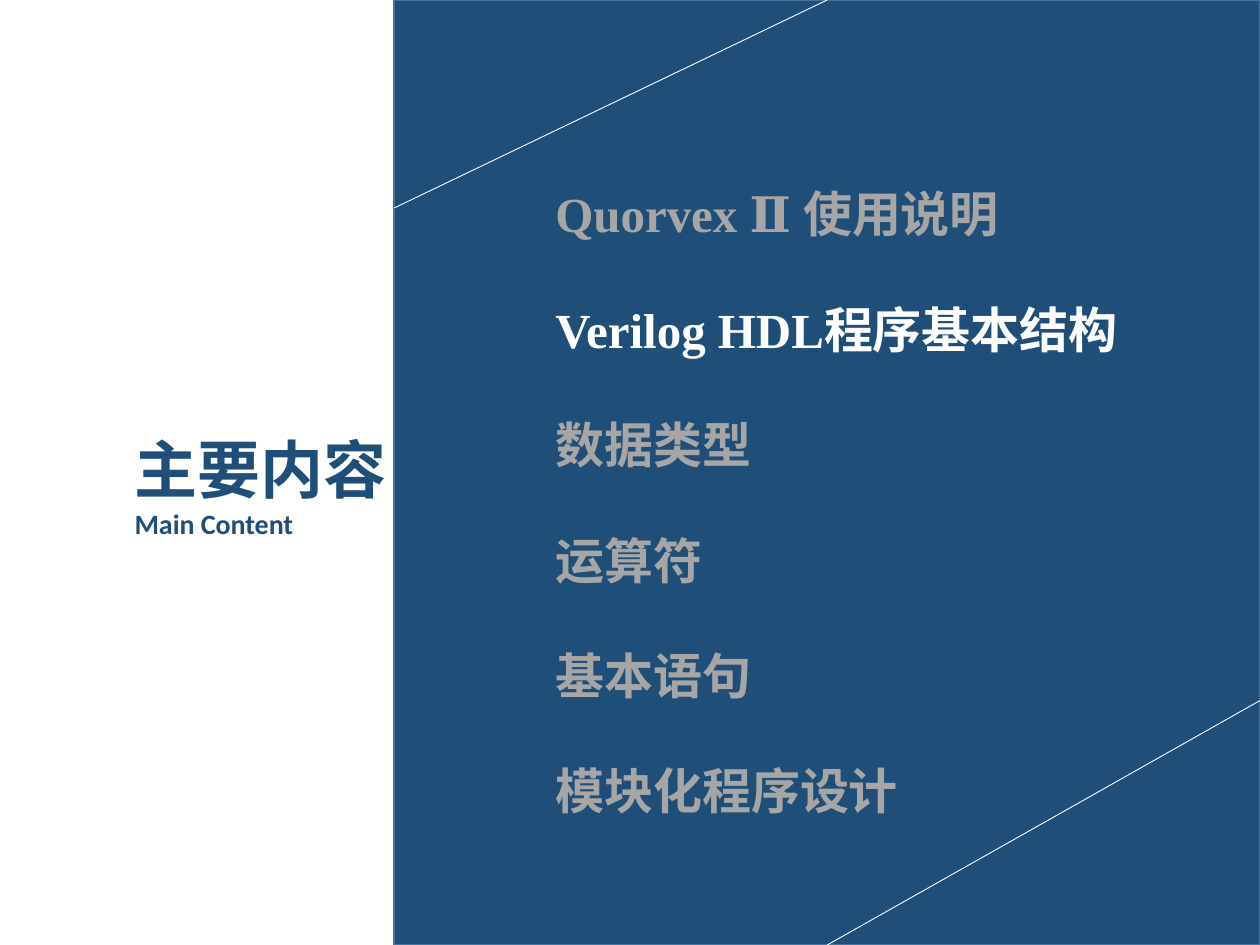
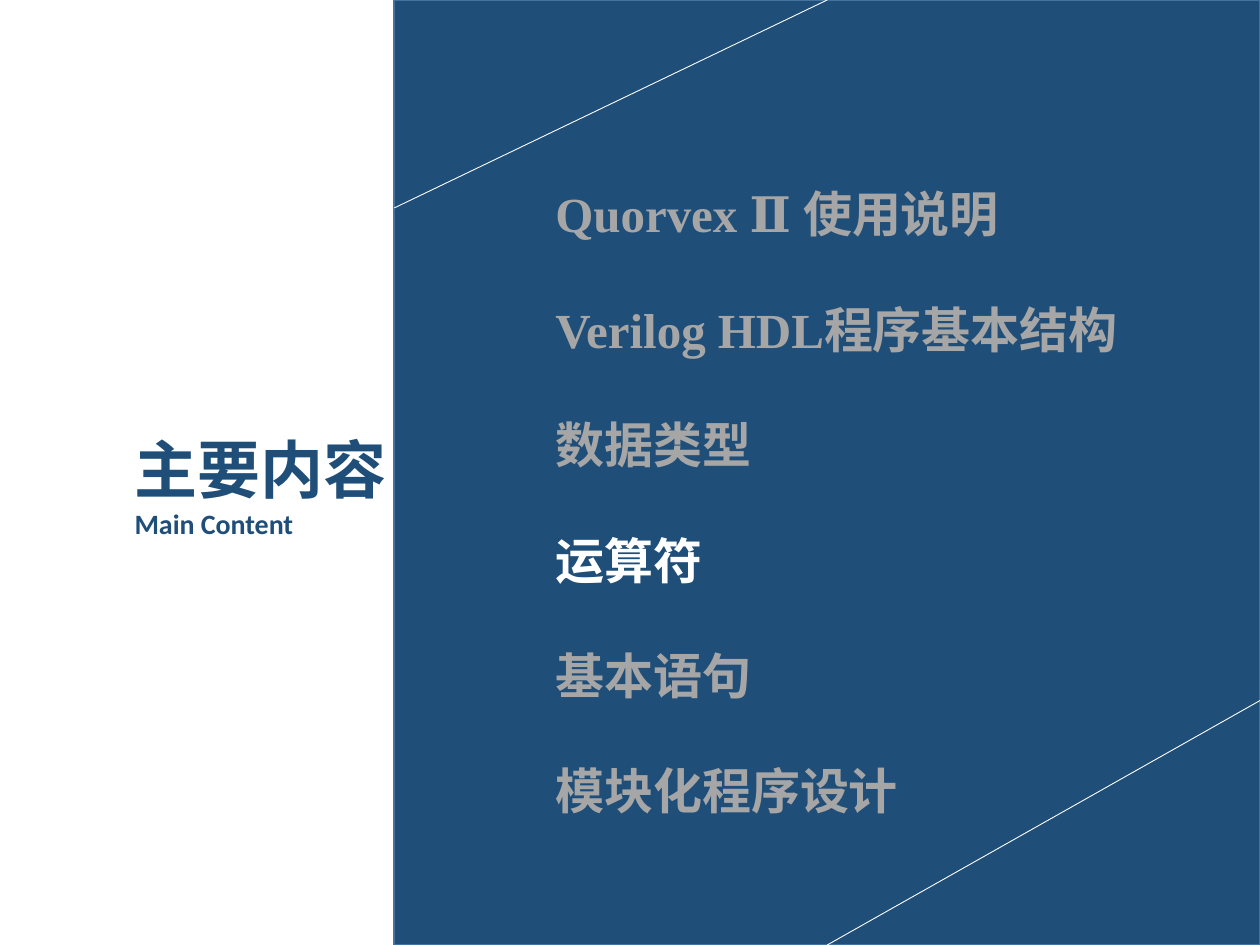
from lxml import etree
from pptx import Presentation
from pptx.dml.color import RGBColor
from pptx.enum import shapes, text
from pptx.oxml import ns
from pptx.util import Inches, Pt

NAVY = RGBColor(0x1F, 0x4E, 0x79)
EDGE = RGBColor(0x43, 0x73, 0x9E)
WHITE = RGBColor(0xFF, 0xFF, 0xFF)
GREY = RGBColor(0xA6, 0xA6, 0xA6)

CHINESE = "Noto Sans CJK SC"
SERIF = "Times New Roman"
SANS = "Calibri"

HEADING_BOX = (0.97, 3.37, 2.33, 0.98)
PANEL_BOX = (3.13, 0, 6.87, 7.5)
MENU_BOX = (4.31, 1.41, 5.03, 5.15)
TOPIC_HEIGHT = 0.57

TOPICS = [
    (5.03, [("Quorvex Ⅱ ", SERIF), ("使用说明", CHINESE)]),
    (5.03, [("Verilog HDL", SERIF), ("程序基本结构", CHINESE)]),
    (4.25, [("数据类型", CHINESE)]),
    (4.25, [("运算符", CHINESE)]),
    (2.65, [("基本语句", CHINESE)]),
    (3.63, [("模块化程序设计", CHINESE)]),
]
CURRENT_TOPICS = [1, 3]


def add_span(para, words, *, face, size, color, bold=True):
    span = para.add_run()
    span.text = words
    span.font.name = face
    span.font.size = Pt(size)
    span.font.bold = bold
    span.font.color.rgb = color
    east_asian = etree.SubElement(span.font._element, ns.qn("a:ea"))
    east_asian.set("typeface", face)


def add_text_box(page, box):
    frame = page.shapes.add_textbox(*map(Inches, box)).text_frame
    frame.word_wrap = True
    frame.auto_size = text.MSO_AUTO_SIZE.SHAPE_TO_FIT_TEXT
    return frame.paragraphs[0]


def add_thin_line(page, start, end):
    line = page.shapes.add_connector(
        shapes.MSO_CONNECTOR.STRAIGHT, *map(Inches, start + end))
    line.line.color.rgb = WHITE
    line.line.width = Pt(0.5)
    etree.SubElement(line._element.spPr, ns.qn("a:effectLst"))
    return line


def add_heading(page, box):
    para = add_text_box(page, box)
    add_span(para, "主要内容", face=CHINESE, size=36, color=NAVY)
    para.add_line_break()
    add_span(para, "Main Content", face=SANS, size=16, color=NAVY)


def add_panel(page, box):
    left, top, width, height = box
    middle, right, bottom = left + width / 2, left + width, top + height
    panel = page.shapes.add_shape(
        shapes.MSO_SHAPE.RECTANGLE, *map(Inches, box))
    panel.shadow.inherit = False
    panel.fill.solid()
    panel.fill.fore_color.rgb = NAVY
    panel.line.color.rgb = EDGE
    panel.line.width = Pt(1)
    upper = add_thin_line(page, (middle, top), (left, top + 1.65))
    upper.begin_connect(panel, 0)
    lower = add_thin_line(page, (right, top + 5.56), (middle, bottom))
    lower.end_connect(panel, 2)


def add_menu(page, box, current):
    left, top, _, height = box
    step = (height - TOPIC_HEIGHT) / (len(TOPICS) - 1)
    for index, (width, spans) in enumerate(TOPICS):
        para = add_text_box(
            page, (left, top + index * step, width, TOPIC_HEIGHT))
        color = WHITE if index == current else GREY
        for words, face in spans:
            add_span(para, words, face=face, size=28, color=color)


def add_contents_page(deck, current):
    page = deck.slides.add_slide(deck.slide_layouts[6])
    add_heading(page, HEADING_BOX)
    add_panel(page, PANEL_BOX)
    add_menu(page, MENU_BOX, current)


def main():
    deck = Presentation()
    deck.slide_width = Inches(10)
    deck.slide_height = Inches(7.5)
    for current in CURRENT_TOPICS:
        add_contents_page(deck, current)
    deck.save("out.pptx")


if __name__ == "__main__":
    main()
